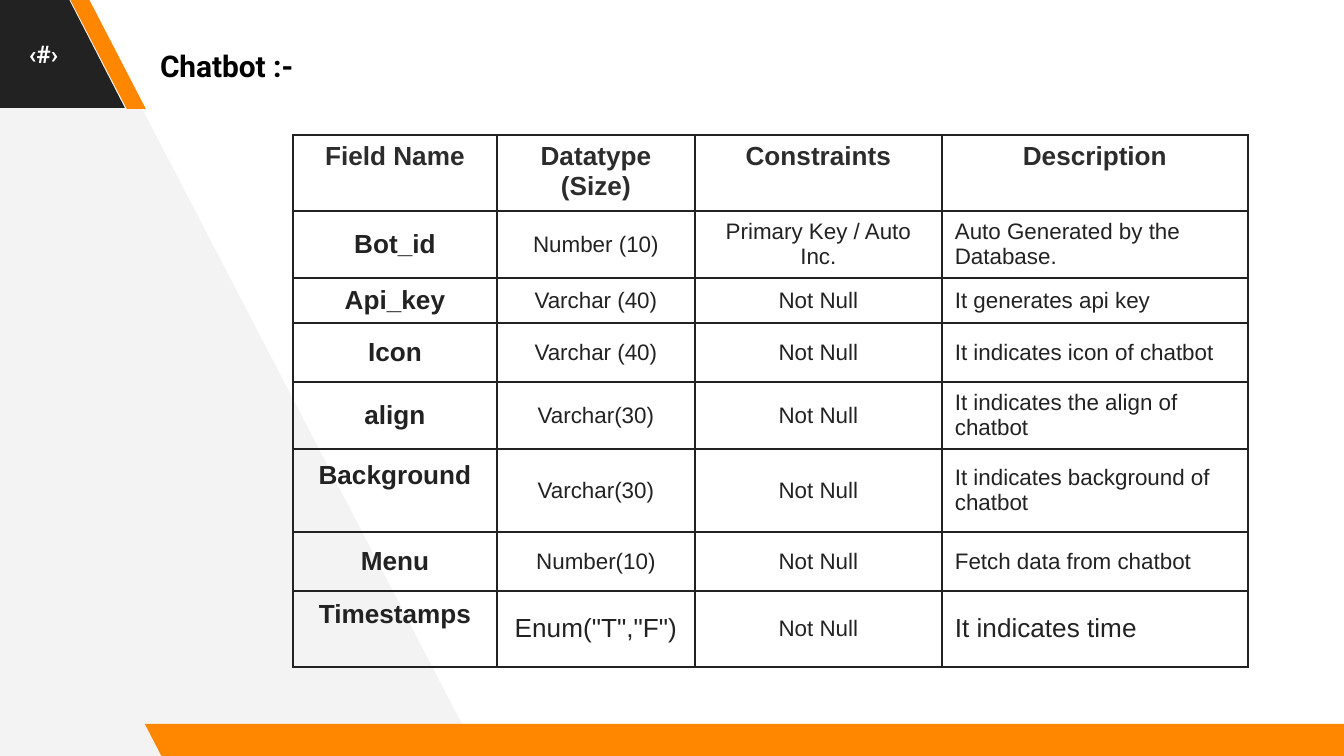
from dataclasses import dataclass

from lxml import etree
from pptx import Presentation
from pptx.dml.color import RGBColor
from pptx.enum.shapes import MSO_SHAPE
from pptx.enum.text import MSO_ANCHOR, MSO_AUTO_SIZE, PP_ALIGN
from pptx.oxml.ns import qn
from pptx.util import Emu, Pt

LEFT, CENTER = PP_ALIGN.LEFT, PP_ALIGN.CENTER
TOP, MIDDLE = MSO_ANCHOR.TOP, MSO_ANCHOR.MIDDLE
PARALLELOGRAM = MSO_SHAPE.PARALLELOGRAM
NO_AUTOFIT = MSO_AUTO_SIZE.NONE

PX_PER_INCH = 134.4
WIDTH, HEIGHT = 1344, 756
DARK, ORANGE, GREY = "222222", "FF8700", "F3F3F3"
HEADER_COLOR, WHITE, BLACK = "2C2C2C", "FFFFFF", "000000"
SIDE_INSET, TOP_INSET, LINE = 13, 7, 29


@dataclass(frozen=True)
class Band:
    left: int
    top: int
    width: int
    height: int
    slant: float
    color: str


@dataclass(frozen=True)
class Field:
    height: int
    name: str
    datatype: str
    constraint: str
    description: str
    sizes: tuple = (14, 12, 12, 12)
    raised: bool = False  # name sits half a line above the middle


BANDS = [
    Band(-133, -3, 258, 111, 0.515, DARK),
    Band(70, -1, 76, 110, 0.75, ORANGE),
    Band(145, 724, 1230, 34, 0.515, ORANGE),
]
PANEL_POINTS = [(478, 755), (83, -5), (-8, -5), (-3, 761)]

COLUMN_WIDTHS = [204, 198, 247, 306]
HEADER = Field(76, "Field Name", "Datatype (Size)", "Constraints", "Description",
               sizes=(14, 14, 14, 14))
FIELDS = [
    Field(67, "Bot_id", "Number (10)", "Primary Key / Auto Inc.",
          "Auto Generated by the Database."),
    Field(45, "Api_key", "Varchar (40)", "Not Null", "It generates api key"),
    Field(59, "Icon", "Varchar (40)", "Not Null", "It indicates icon of chatbot"),
    Field(67, "align", "Varchar(30)", "Not Null", "It indicates the align of chatbot"),
    Field(83, "Background", "Varchar(30)", "Not Null",
          "It indicates background of chatbot", raised=True),
    Field(59, "Menu", "Number(10)", "Not Null", "Fetch data from chatbot"),
    Field(76, "Timestamps", 'Enum("T","F")', "Not Null", "It indicates time",
          sizes=(14, 14, 12, 14), raised=True),
]


def px(length: int) -> Emu:
    return Emu(round(length * 914400 / PX_PER_INCH))


def rgb(color: str) -> RGBColor:
    return RGBColor.from_string(color)


def set_all(target, values: dict) -> None:
    for name, value in values.items():
        setattr(target, name, value)


def insets(top: int, bottom: int) -> dict:
    return {"margin_left": px(SIDE_INSET), "margin_right": px(SIDE_INSET),
            "margin_top": px(top), "margin_bottom": px(bottom)}


def write(frame, text: str, size: int, font: str, color: str, bold: bool,
          align=LEFT, spacing: float = 1.0) -> None:
    para = frame.paragraphs[0]
    set_all(para, {"alignment": align, "line_spacing": spacing, "space_before": Pt(0)})
    span = para.add_run()
    span.text = text
    set_all(span.font, {"size": Pt(size), "name": font, "bold": bold})
    span.font.color.rgb = rgb(color)


def paint(shape, color: str) -> None:
    shape.shadow.inherit = False
    shape.fill.solid()
    shape.fill.fore_color.rgb = rgb(color)
    shape.line.fill.background()


def add_panel(page, points: list) -> None:
    builder = page.shapes.build_freeform(*map(px, points[0]), scale=1.0)
    builder.add_line_segments([(px(x), px(y)) for x, y in points[1:]], close=True)
    paint(builder.convert_to_shape(), GREY)


def add_band(page, band: Band) -> None:
    shape = page.shapes.add_shape(PARALLELOGRAM, px(band.left), px(band.top),
                                  px(band.width), px(band.height))
    shape.adjustments[0] = band.slant
    shape._element.spPr.find(qn("a:xfrm")).set("flipH", "1")
    paint(shape, band.color)


def add_borders(cell, color: str) -> None:
    properties = cell._tc.get_or_add_tcPr()
    for side in ("a:lnL", "a:lnR", "a:lnT", "a:lnB"):
        line = etree.SubElement(properties, qn(side), w=str(Pt(1)))
        fill = etree.SubElement(line, qn("a:solidFill"))
        etree.SubElement(fill, qn("a:srgbClr"), val=color)


def fill_row(table, index: int, field: Field) -> None:
    header = field is HEADER
    table.rows[index].height = px(field.height)
    texts = (field.name, field.datatype, field.constraint, field.description)
    for column, (text, size) in enumerate(zip(texts, field.sizes)):
        cell = table.cell(index, column)
        add_borders(cell, DARK)
        cell.fill.background()
        lift = LINE if field.raised and column == 0 else 0
        set_all(cell, insets(TOP_INSET, TOP_INSET + lift))
        cell.vertical_anchor = TOP if header else MIDDLE
        write(cell.text_frame, text, size, "Arial",
              HEADER_COLOR if header else DARK, header or column == 0,
              CENTER if header or column < 3 else LEFT)


def add_field_table(page, left: int, top: int) -> None:
    rows = [HEADER, *FIELDS]
    table = page.shapes.add_table(
        len(rows), len(COLUMN_WIDTHS), px(left), px(top),
        px(sum(COLUMN_WIDTHS)), px(sum(row.height for row in rows))).table
    set_all(table, {"first_row": False, "horz_banding": False})
    for column, width in zip(table.columns, COLUMN_WIDTHS):
        column.width = px(width)
    for index, field in enumerate(rows):
        fill_row(table, index, field)


def place(box, left: int, top: int, width: int, height: int,
          inset: int, anchor) -> None:
    set_all(box, {"left": px(left), "top": px(top),
                  "width": px(width), "height": px(height)})
    set_all(box.text_frame, {"word_wrap": True, "auto_size": NO_AUTOFIT,
                             "vertical_anchor": anchor, **insets(inset, inset)})


def main() -> None:
    deck = Presentation()
    set_all(deck, {"slide_width": px(WIDTH), "slide_height": px(HEIGHT)})
    page = deck.slides.add_slide(deck.slide_layouts[5])

    # Background decoration
    add_panel(page, PANEL_POINTS)
    for band in BANDS:
        add_band(page, band)

    # Page number
    number = page.shapes.add_textbox(0, 0, px(87), px(108))
    place(number, 0, 0, 87, 108, SIDE_INSET, MIDDLE)
    write(number.text_frame, "‹#›", 13, "Roboto", WHITE, True, CENTER)

    # Title
    title = page.shapes.title
    place(title, 147, 23, 230, 62, TOP_INSET, TOP)
    write(title.text_frame, "Chatbot :-", 16, "Roboto", BLACK, True, spacing=1.5)

    # Field descriptions
    add_field_table(page, 293, 135)
    deck.save("out.pptx")


if __name__ == "__main__":
    main()
